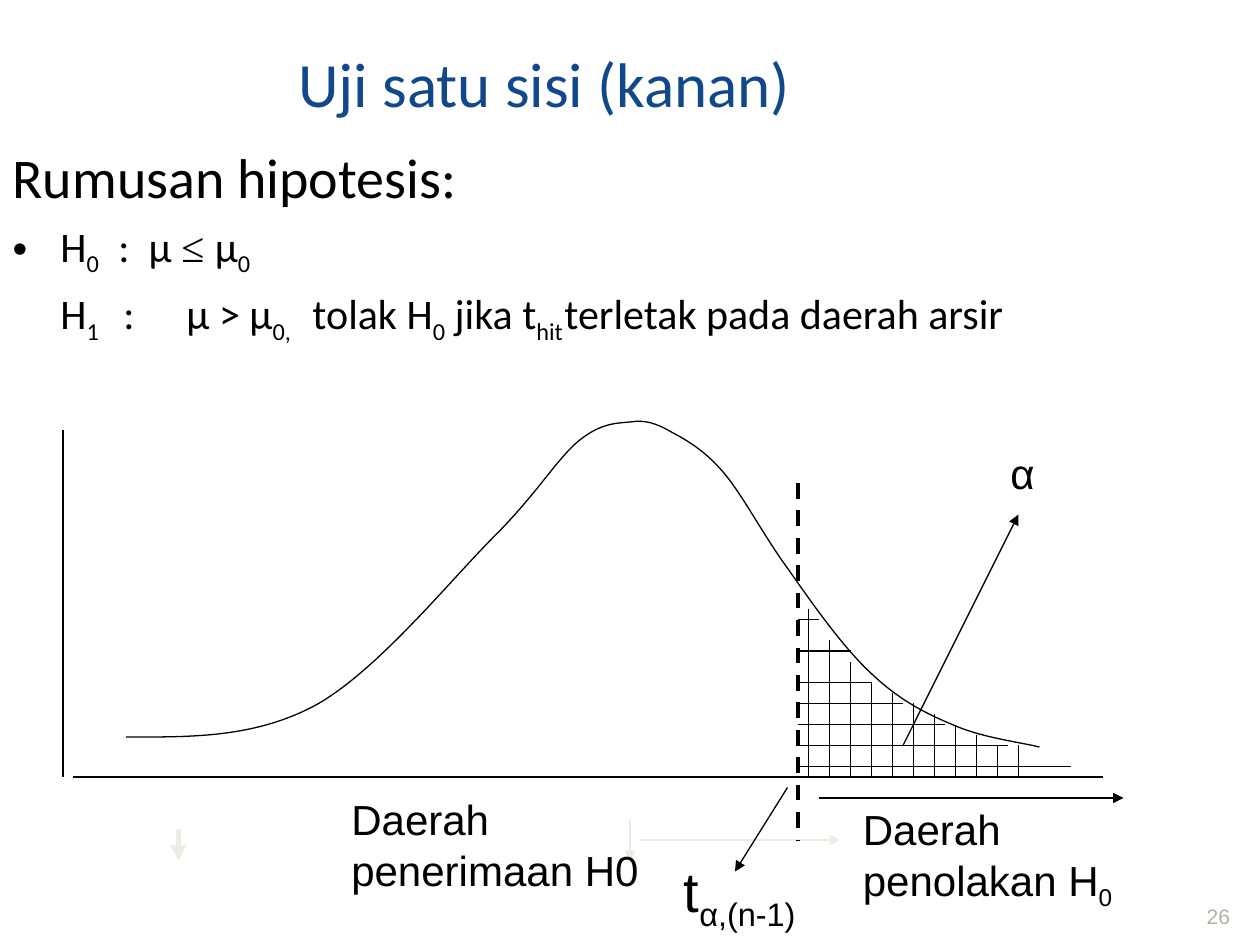
from lxml import etree
from pptx import Presentation, util as u
from pptx.dml.color import RGBColor
from pptx.enum import dml, shapes, text
from pptx.oxml.ns import qn

BLACK = RGBColor(0, 0, 0)
BLUE = RGBColor(0x11, 0x48, 0x8B)
CREAM = RGBColor(0xEE, 0xEC, 0xE1)
GREY = RGBColor(0xB4, 0xB1, 0xA0)
CELL = u.Inches(10) / 120

TITLE = "Uji satu sisi (kanan)"
HYPOTHESES = [
    ("Rumusan hipotesis:", 32, 0, False, ()),
    ("H|0|\t:\tμ ||≤ ||μ|0|", 24, 6, True, (0.84, 1.08)),
    ("\tH|1|\t:\tμ > μ|0,|\ttolak H|0| jika t|hit|\tterletak pada daerah arsir",
     24, 6, False, (0.38, 0.84, 1.08, 2.03, 4.17)),
]
LABELS = [
    ("α", (7.92, 3.5, 1.02, 0.5), 24),
    ("t|α,(n-1)|", (5.33, 6.75, 1.5, 0.71), 32),
    ("Daerah penolakan H|0|", (6.75, 6.33, 2.89, 0.96), 24),
    ("Daerah penerimaan H0", (2.69, 6.25, 3.06, 1.51), 24),
]
PAGE = ("26", (9.42, 6.9, 0.5, 0.52), 12)

CRITICAL, BASE = 76, 74
FAINT_ARROWS = [((61, 80), (80, 80), 0.75), ((60, 78), (60, 82), 0.75), ((17, 79), (17, 82), 3)]
AXES = [((6, 41), (6, BASE)), ((7, BASE), (105, BASE))]
ARROWS = [((86, 71), (97, 49)), ((78, 76), (107, 76)), ((75, 75), (70, 83))]
HATCH_TOPS = [58, 61, 63, 65, 66, 67, 68, 69, 70, 71, 71]
HATCH_ROWS = [(59, 78), (62, 81), (65, 83), (67, 86), (69, 90), (71, 96), (73, 102)]
BELL_START = (1, 5.85)
BELL = [
    ((1.51, 5.85), (2.01, 5.86), (2.5, 5.6)),
    ((2.99, 5.33), (3.57, 4.61), (3.92, 4.26)),
    ((4.26, 3.92), (4.4, 3.67), (4.58, 3.51)),
    ((4.76, 3.36), (4.88, 3.36), (5, 3.35)),
    ((5.12, 3.33), (5.21, 3.36), (5.33, 3.43)),
    ((5.46, 3.5), (5.6, 3.58), (5.75, 3.76)),
    ((5.9, 3.94), (6.06, 4.25), (6.25, 4.51)),
    ((6.44, 4.78), (6.69, 5.14), (6.92, 5.35)),
    ((7.14, 5.56), (7.36, 5.67), (7.58, 5.76)),
    ((7.81, 5.86), (8.15, 5.9), (8.25, 5.93)),
]


def write(paragraph, marked, size, font, color=BLACK):
    for i, part in enumerate(marked.split("|")):
        if not part:
            continue
        run = paragraph.add_run()
        run.text = part
        run.font.size = u.Pt(size)
        run.font.name = "Times New Roman" if part.startswith("≤") else font
        run.font.color.rgb = color
        if i % 2:
            run._r.get_or_add_rPr().set("baseline", "-25000")


def place(shape, box):
    shape.left, shape.top, shape.width, shape.height = map(u.Inches, box)


def label(slide, marked, box, size, color=BLACK):
    frame = slide.shapes.add_textbox(*map(u.Inches, box)).text_frame
    frame.word_wrap = True
    write(frame.paragraphs[0], marked, size, "Arial", color)
    return frame


def line(slide, start, end, color=BLACK, width=0.75, arrow=False):
    ends = [round(v * CELL) for v in (*start, *end)]
    connector = slide.shapes.add_connector(shapes.MSO_CONNECTOR.STRAIGHT, *ends)
    connector.line.color.rgb = color
    connector.line.width = u.Pt(width)
    if arrow:
        etree.SubElement(connector.line._get_or_add_ln(), qn("a:tailEnd"), type="triangle")
    etree.SubElement(connector._element.spPr, qn("a:effectLst"))
    return connector


def format_hypothesis(paragraph, bulleted, stops):
    properties = paragraph._p.get_or_add_pPr()
    hanging = u.Inches(0.38)
    properties.set("marL", str(hanging))
    properties.set("indent", str(-hanging))
    if bulleted:
        etree.SubElement(properties, qn("a:buFont"), typeface="Arial")
        etree.SubElement(properties, qn("a:buChar"), char="•")
    else:
        etree.SubElement(properties, qn("a:buNone"))
    if stops:
        tabs = etree.SubElement(properties, qn("a:tabLst"))
        for stop in stops:
            etree.SubElement(tabs, qn("a:tab"), pos=str(u.Inches(stop)), algn="l")


def draw_bell(slide):
    hundredths = [(round(x * 100), round(y * 100)) for curve in BELL for x, y in curve]
    start = [round(v * 100) for v in BELL_START]
    builder = slide.shapes.build_freeform(*start, scale=u.Inches(0.01))
    builder.add_line_segments(hundredths, close=False)
    bell = builder.convert_to_shape()
    segments = list(bell._element.iter(qn("a:lnTo")))
    outline = segments[0].getparent()
    for i in range(0, len(segments), 3):
        curve = etree.SubElement(outline, qn("a:cubicBezTo"))
        for segment in segments[i:i + 3]:
            curve.append(segment[0])
            outline.remove(segment)
    bell.fill.background()
    bell.line.color.rgb = BLACK
    bell.line.width = u.Pt(0.75)
    bell.shadow.inherit = False


def main():
    deck = Presentation()
    deck.slide_width, deck.slide_height = u.Inches(10), u.Inches(7.5)
    slide = deck.slides.add_slide(deck.slide_layouts[1])

    title = slide.shapes.title
    place(title, (0, 0.3, 8.58, 0.7))
    title.text_frame.vertical_anchor = text.MSO_ANCHOR.MIDDLE
    heading = title.text_frame.paragraphs[0]
    heading.alignment = text.PP_ALIGN.CENTER
    heading._p.get_or_add_pPr().set("marL", str(u.Inches(0.06)))
    write(heading, TITLE, 36, "Calibri", BLUE)

    body = slide.placeholders[1]
    place(body, (0, 1.08, 8.75, 6.17))
    frame = body.text_frame
    frame.auto_size = text.MSO_AUTO_SIZE.NONE
    for i, (marked, size, before, bulleted, stops) in enumerate(HYPOTHESES):
        paragraph = frame.add_paragraph() if i else frame.paragraphs[0]
        format_hypothesis(paragraph, bulleted, stops)
        paragraph.space_before = u.Pt(before)
        write(paragraph, marked, size, "Calibri")

    for start, end, width in FAINT_ARROWS:
        line(slide, start, end, CREAM, width, arrow=True)
    for start, end in AXES:
        line(slide, start, end)
    draw_bell(slide)

    boundary = line(slide, (CRITICAL, 46), (CRITICAL, 80), width=2.25)
    boundary.line.dash_style = dml.MSO_LINE.DASH
    for i, top in enumerate(HATCH_TOPS):
        x = CRITICAL + 1 + 2 * i
        line(slide, (x, top), (x, BASE))
    for y, right in HATCH_ROWS:
        line(slide, (CRITICAL, y), (right, y))
    for start, end in ARROWS:
        line(slide, start, end, arrow=True)

    for marked, box, size in LABELS:
        label(slide, marked, box, size)
    page = label(slide, *PAGE, color=GREY)
    page.vertical_anchor = text.MSO_ANCHOR.BOTTOM
    page.paragraphs[0].alignment = text.PP_ALIGN.CENTER

    deck.save("out.pptx")


if __name__ == "__main__":
    main()
